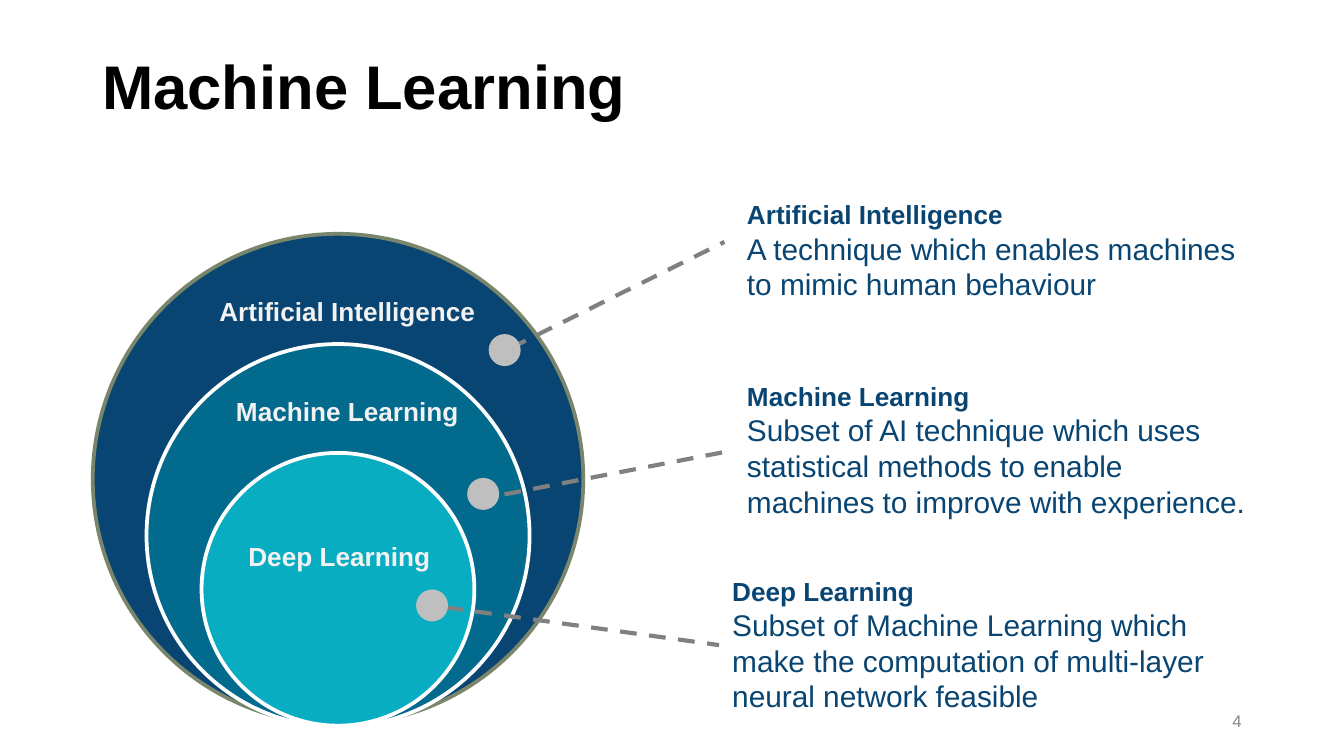
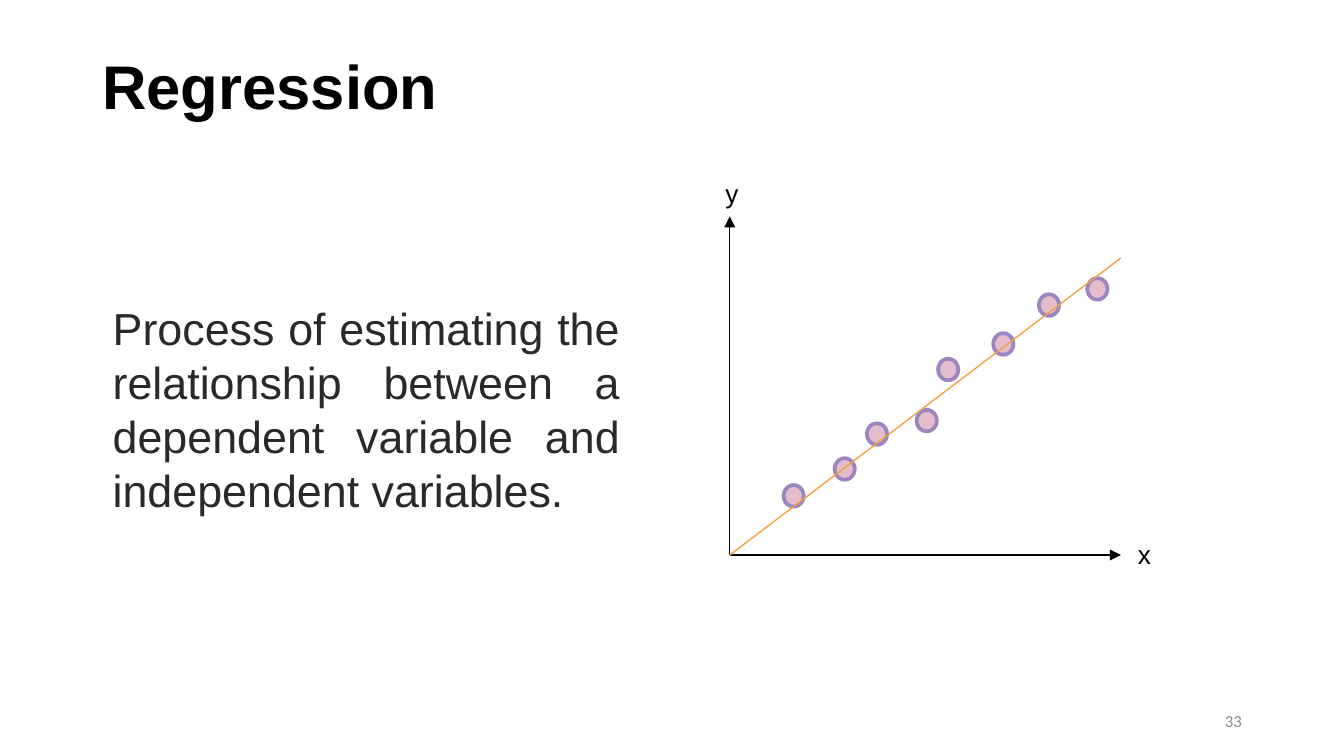
from lxml import etree
from pptx import Presentation
from pptx.dml.color import RGBColor
from pptx.enum.dml import MSO_LINE
from pptx.enum.shapes import MSO_CONNECTOR, MSO_SHAPE
from pptx.enum.text import MSO_ANCHOR, MSO_AUTO_SIZE, PP_ALIGN
from pptx.oxml.ns import qn
from pptx.util import Inches, Pt

OVAL = MSO_SHAPE.OVAL
STRAIGHT = MSO_CONNECTOR.STRAIGHT
DASH = MSO_LINE.DASH
TOP, MIDDLE = MSO_ANCHOR.TOP, MSO_ANCHOR.MIDDLE
GROW, FIXED = MSO_AUTO_SIZE.SHAPE_TO_FIT_TEXT, MSO_AUTO_SIZE.NONE
LEFT, CENTER, RIGHT, JUSTIFY = PP_ALIGN.LEFT, PP_ALIGN.CENTER, PP_ALIGN.RIGHT, PP_ALIGN.JUSTIFY

rgb = RGBColor.from_string
BLACK, WHITE, GREY = "000000", "FFFFFF", "888888"
NAVY, TEAL, CYAN, OLIVE = "094572", "026A8D", "09ADC2", "7A866C"
LABEL, DOT, LEADER = "F2F2F2", "BFBFBF", "808080"
BODY, PINK, PURPLE, ORANGE = "292929", "E3BECA", "9C85C0", "F2A141"


def add_text(s, box, paragraphs, color, align=LEFT, font="Arial", frame=False):
    sp = s.shapes.add_textbox(*[Inches(v) for v in box])
    tf = sp.text_frame
    tf.word_wrap = True
    tf.auto_size = FIXED if frame else GROW
    tf.vertical_anchor = MIDDLE if frame else TOP
    tf.margin_left = tf.margin_right = Inches(0.07 if frame else 0.1)
    tf.margin_top = tf.margin_bottom = Inches(0.04 if frame else 0.05)
    for i, (text, size, bold) in enumerate(paragraphs):
        p = tf.add_paragraph() if i else tf.paragraphs[0]
        p.alignment = align
        r = p.add_run()
        r.text = text
        r.font.name = font
        r.font.size = Pt(size)
        r.font.bold = bold
        r.font.color.rgb = rgb(color)
    return tf


def add_oval(s, x, y, w, h, fill, line):
    sp = s.shapes.add_shape(OVAL, Inches(x), Inches(y), Inches(w), Inches(h))
    sp.shadow.inherit = False
    sp.fill.solid()
    sp.fill.fore_color.rgb = rgb(fill)
    sp.line.color.rgb = rgb(line)
    sp.line.width = Pt(2)


prs = Presentation()
prs.slide_width, prs.slide_height = Inches(10), Inches(10 * 9 / 16)

for title, number, number_font in [("Machine Learning", "4", "Arial"),
                                   ("Regression", "33", "Calibri")]:
    s = prs.slides.add_slide(prs.slide_layouts[6])
    tf = add_text(s, (0.69, 0.24, 8.12, 0.85), [(title, 33, True)], BLACK, frame=True)
    tf.paragraphs[0].line_spacing = 0.9
    add_text(s, (7.06, 5.21, 2.25, 0.3), [(number, 9, False)], GREY, RIGHT, number_font, True)

learning, regression = prs.slides

rings = [
    ("Artificial Intelligence", "A technique which enables machines to mimic human behaviour",
     (0.69, 1.74, 3.65), NAVY, OLIVE, (1.53, 2.15), (3.8, 2.59, 5.39, 1.8),
     (5.46, 1.43, 3.97, 0.88), (3.65, 2.5)),
    ("Machine Learning",
     "Subset of AI technique which uses statistical methods to enable machines to improve with experience.",
     (1.09, 2.56, 2.85), TEAL, WHITE, (1.53, 2.89), (3.54, 3.72, 5.46, 3.35),
     (5.46, 2.78, 3.97, 1.14), (3.49, 3.57)),
    ("Deep Learning",
     "Subset of Machine Learning which make the computation of multi-layer neural network feasible",
     (1.5, 3.37, 2.03), CYAN, WHITE, (1.47, 3.97), (3.32, 4.52, 5.35, 4.8),
     (5.35, 4.23, 3.97, 1.14), (3.11, 4.4)),
]
for name, meaning, (x, y, d), fill, edge, label, leader, note, dot in rings:
    add_oval(learning, x, y, d, d, fill, edge)
    add_text(learning, (*label, 2.11, 0.34), [(name, 14, True)], LABEL, CENTER)
    line = learning.shapes.add_connector(STRAIGHT, *[Inches(v) for v in leader])
    line.line.color.rgb = rgb(LEADER)
    line.line.width = Pt(2.25)
    line.line.dash_style = DASH
    etree.SubElement(line.element.spPr, qn("a:effectLst"))
    add_text(learning, note, [(name, 14, True), (meaning, 16, False)], NAVY)
    add_oval(learning, *dot, 0.21, 0.21, DOT, DOT)

add_text(regression, (0.74, 2.19, 3.97, 1.72),
         [("Process of estimating the relationship between a dependent variable "
           "and independent variables.", 24, False)], BODY, JUSTIFY)

points = [(5.83, 3.61), (6.21, 3.41), (6.45, 3.15), (6.82, 3.05),
          (6.98, 2.67), (7.39, 2.48), (7.73, 2.19), (8.09, 2.07)]
for x, y in points:
    add_oval(regression, x, y, 0.15, 0.16, PINK, PURPLE)

for axis, x, y in [("y", 5.24, 1.27), ("x", 8.31, 3.96)]:
    add_text(regression, (x, y, 0.41, 0.34), [(axis, 14, False)], BLACK, CENTER)

origin = (5.43, 4.13)
for end, color, arrow in [((5.43, 1.61), BLACK, True),
                          ((8.34, 4.13), BLACK, True),
                          ((8.34, 1.92), ORANGE, False)]:
    line = regression.shapes.add_connector(STRAIGHT, *[Inches(v) for v in origin + end])
    line.line.color.rgb = rgb(color)
    line.line.width = Pt(0.75)
    if arrow:
        etree.SubElement(line.element.spPr.find(qn("a:ln")), qn("a:tailEnd"), type="triangle")
    etree.SubElement(line.element.spPr, qn("a:effectLst"))

prs.save("out.pptx")
